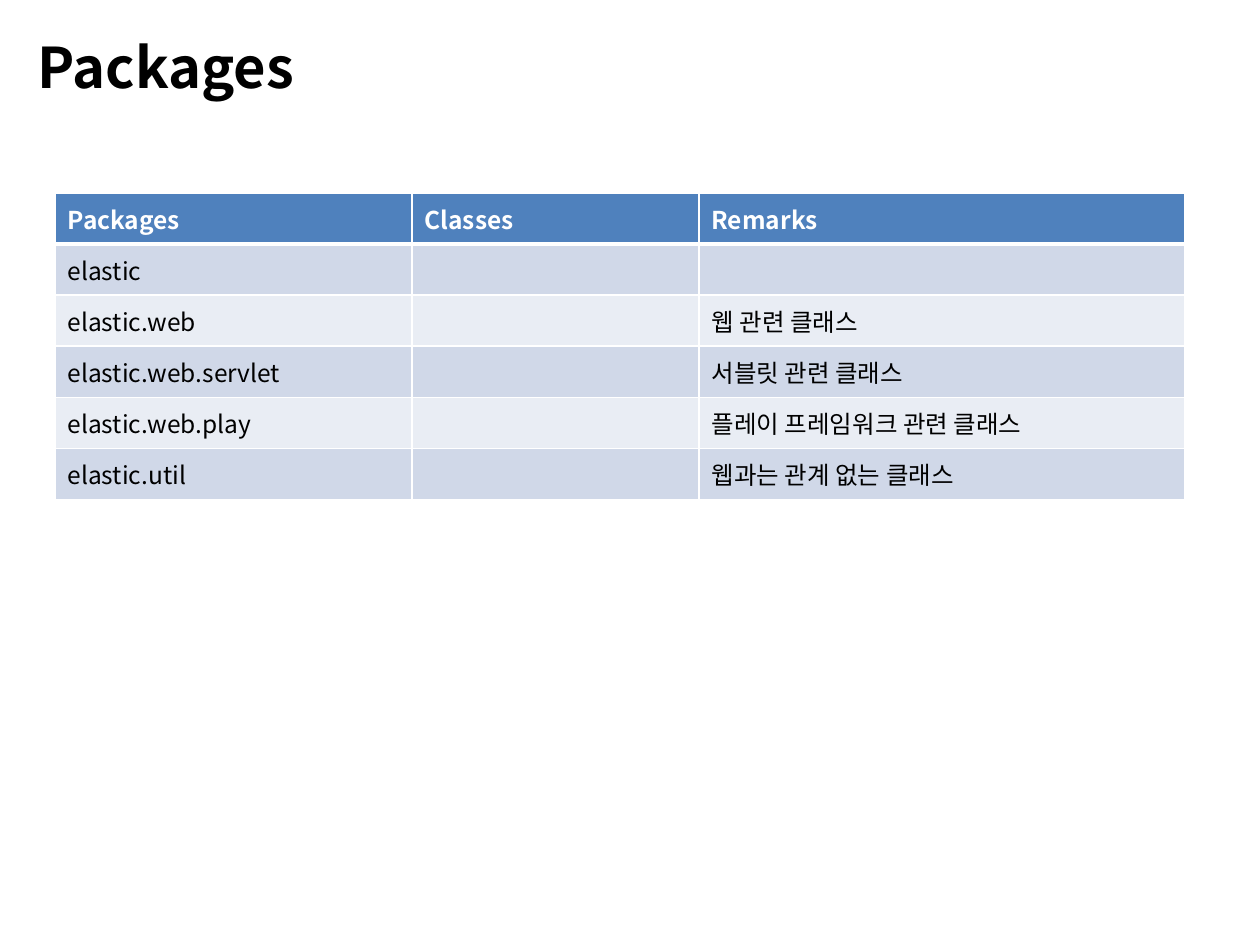
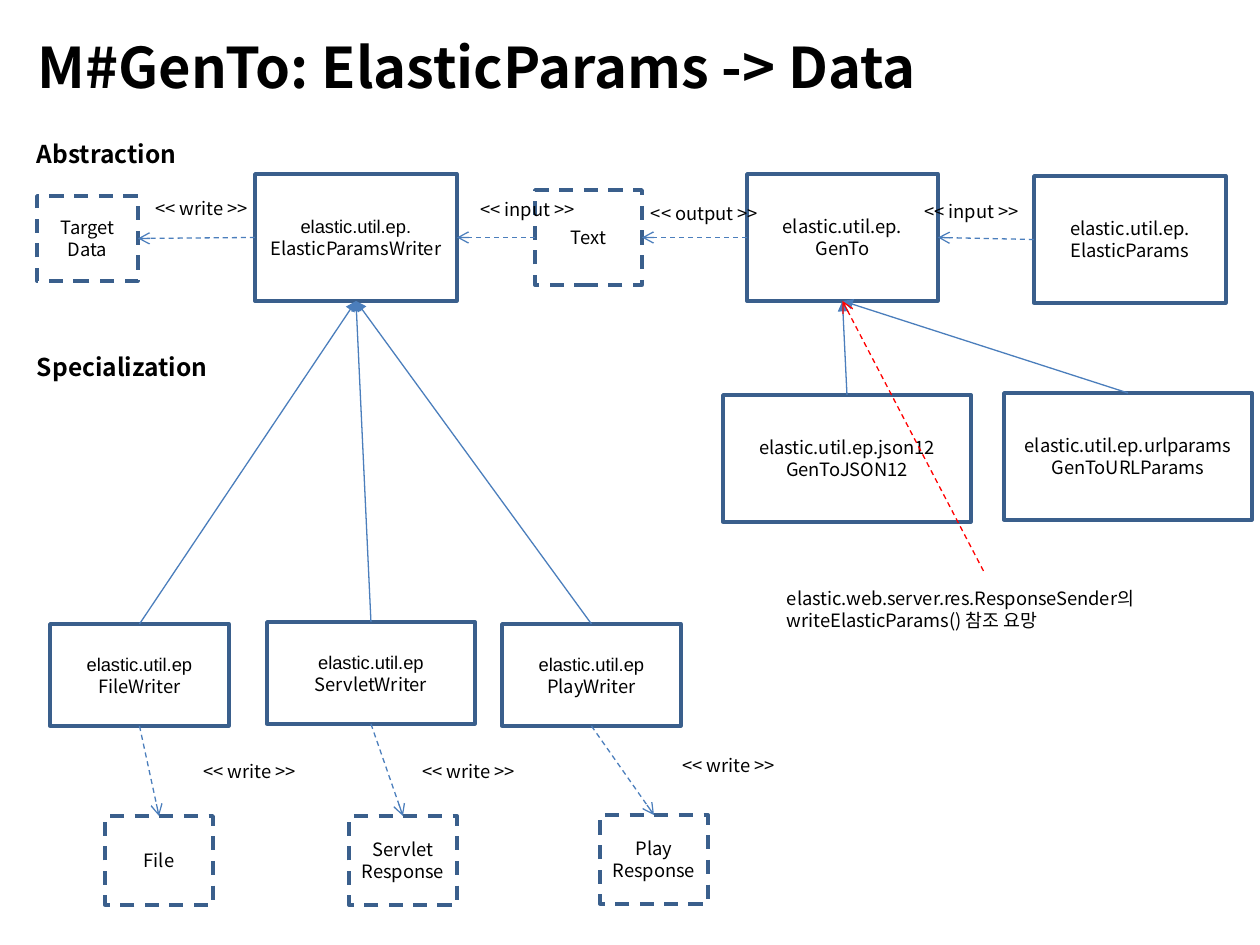
from lxml.etree import SubElement
from pptx import Presentation
from pptx.dml.color import RGBColor
from pptx.enum.dml import MSO_LINE
from pptx.enum.shapes import MSO_CONNECTOR, MSO_SHAPE
from pptx.enum.text import MSO_ANCHOR, MSO_AUTO_SIZE, PP_ALIGN
from pptx.oxml.ns import qn
from pptx.util import Emu, Pt

COLORS = {
    "text": "000000",
    "white": "FFFFFF",
    "header": "4F81BD",
    "band_dark": "D0D8E8",
    "band_light": "E9EDF4",
    "outline": "3A5F8C",
    "link": "4B7EBC",
    "note_link": "FF0000",
}
FONT = "Noto Sans CJK KR"
LATIN_FONT = "Arial"
EMU_PER_PX = 914400 / 126
TOP, LEFT, BOTTOM, RIGHT = range(4)

PACKAGE_ROWS = [
    ("Packages", "Classes", "Remarks"),
    ("elastic", "", ""),
    ("elastic.web", "", "웹 관련 클래스"),
    ("elastic.web.servlet", "", "서블릿 관련 클래스"),
    ("elastic.web.play", "", "플레이 프레임워크 관련 클래스"),
    ("elastic.util", "", "웹과는 관계 없는 클래스"),
]


def px(length):
    return Emu(round(length * EMU_PER_PX))


def rgb(name):
    return RGBColor.from_string(COLORS[name])


def format_paragraph(paragraph, size, color="text", bold=False, align=PP_ALIGN.LEFT, font=FONT):
    paragraph.alignment = align
    for run in paragraph.runs:
        run.font.size = Pt(size)
        run.font.bold = bold
        run.font.color.rgb = rgb(color)
        run.font.name = font
        east_asian = SubElement(run.font._element, qn("a:ea"))
        east_asian.set("typeface", FONT)


def set_text(shape, text, size, **style):
    frame = shape.text_frame
    frame.text = text
    frame.word_wrap = True
    frame.auto_size = MSO_AUTO_SIZE.NONE
    frame.vertical_anchor = MSO_ANCHOR.MIDDLE
    for paragraph in frame.paragraphs:
        format_paragraph(paragraph, size, **style)


def add_titled_slide(presentation, title):
    slide = presentation.slides.add_slide(presentation.slide_layouts[5])
    shape = slide.shapes.title
    shape.left, shape.top, shape.width, shape.height = map(px, (25, 26, 1201, 80))
    set_text(shape, title, 32, bold=True)
    return slide


def add_text(slide, left, top, width, height, text, size=10.5, margin=0, **style):
    shape = slide.shapes.add_textbox(px(left), px(top), px(width), px(height))
    set_text(shape, text, size, **style)
    frame = shape.text_frame
    frame.margin_left = frame.margin_right = px(margin)
    frame.margin_top = frame.margin_bottom = px(margin / 2)
    return shape


def add_heading(slide, top, text):
    add_text(slide, 37, top, 226, 46, text, size=14, bold=True)


def add_label(slide, left, top, word):
    add_text(slide, left, top, 131, 46, f"<< {word} >>", align=PP_ALIGN.CENTER)


def add_box(slide, left, top, width, height, text, dashed=False, first_font=FONT):
    box = slide.shapes.add_shape(MSO_SHAPE.RECTANGLE, px(left), px(top), px(width), px(height))
    box.shadow.inherit = False
    box.fill.background()
    box.line.color.rgb = rgb("outline")
    box.line.width = Pt(2)
    if dashed:
        box.line.dash_style = MSO_LINE.DASH
    set_text(box, text, 10.5, align=PP_ALIGN.CENTER)
    box.text_frame.paragraphs[0].runs[0].font.name = first_font
    return box


def add_link(slide, start, start_side, end, end_side, dashed=True, color="link"):
    link = slide.shapes.add_connector(MSO_CONNECTOR.STRAIGHT, 0, 0, 0, 0)
    link.begin_connect(start, start_side)
    link.end_connect(end, end_side)
    link.line.color.rgb = rgb(color)
    link.line.width = Pt(0.75)
    if dashed:
        link.line.dash_style = MSO_LINE.DASH
    arrowhead = SubElement(link.line._get_or_add_ln(), qn("a:tailEnd"))
    arrowhead.set("type", "arrow" if dashed else "triangle")
    SubElement(link._element.spPr, qn("a:effectLst"))


def set_borders(cell, top=1, bottom=1):
    properties = cell._tc.get_or_add_tcPr()
    for side, width in (("L", 1), ("R", 1), ("T", top), ("B", bottom)):
        line = SubElement(properties, qn(f"a:ln{side}"), w=str(Pt(width)))
        fill = SubElement(line, qn("a:solidFill"))
        SubElement(fill, qn("a:srgbClr"), val=COLORS["white"])


def add_package_table(slide):
    widths = (357, 287, 486)
    row_height = 51
    frame = slide.shapes.add_table(
        len(PACKAGE_ROWS), len(widths), px(55), px(193),
        px(sum(widths)), px(row_height * len(PACKAGE_ROWS)))
    table = frame.table
    for column, width in zip(table.columns, widths):
        column.width = px(width)
    for index, texts in enumerate(PACKAGE_ROWS):
        table.rows[index].height = px(row_height)
        is_header = index == 0
        band = "header" if is_header else ("band_light", "band_dark")[index % 2]
        for cell, text in zip(table.rows[index].cells, texts):
            set_borders(cell, top=3 if index == 1 else 1, bottom=3 if is_header else 1)
            cell.fill.solid()
            cell.fill.fore_color.rgb = rgb(band)
            cell.vertical_anchor = MSO_ANCHOR.MIDDLE
            if text:
                cell.text_frame.text = text
                format_paragraph(cell.text_frame.paragraphs[0], 14,
                                 color="white" if is_header else "text", bold=is_header)


def add_abstraction(slide):
    add_heading(slide, 131, "Abstraction")
    target = add_box(slide, 37, 196, 101, 85, "Target\nData", dashed=True)
    writer = add_box(slide, 255, 174, 202, 127, "elastic.util.ep.\nElasticParamsWriter",
                     first_font=LATIN_FONT)
    text = add_box(slide, 535, 190, 107, 95, "Text", dashed=True)
    generator = add_box(slide, 747, 174, 191, 127, "elastic.util.ep.\nGenTo")
    params = add_box(slide, 1034, 176, 192, 127, "elastic.util.ep.\nElasticParams")
    chain = [target, writer, text, generator, params]
    for end, start in zip(chain, chain[1:]):
        add_link(slide, start, LEFT, end, RIGHT)
    for left, top, word in ((136, 185, "write"), (462, 186, "input"),
                            (639, 190, "output"), (906, 188, "input")):
        add_label(slide, left, top, word)
    return writer, generator


def add_writers(slide, writer):
    columns = [
        ((50, 624, 179), "FileWriter", (105, 816), "File", (184, 748)),
        ((267, 622, 208), "ServletWriter", (349, 816), "Servlet Response", (403, 748)),
        ((502, 624, 179), "PlayWriter", (600, 815), "Play Response", (663, 742)),
    ]
    for place, name, output_place, output_name, label_place in columns:
        special = add_box(slide, *place, 102, f"elastic.util.ep\n{name}", first_font=LATIN_FONT)
        output = add_box(slide, *output_place, 108, 89, output_name, dashed=True)
        add_link(slide, special, TOP, writer, BOTTOM, dashed=False)
        add_link(slide, special, BOTTOM, output, TOP)
        add_label(slide, *label_place, "write")


def add_generators(slide, generator):
    for left, top, text in ((723, 395, "elastic.util.ep.json12\nGenToJSON12"),
                            (1004, 393, "elastic.util.ep.urlparams\nGenToURLParams")):
        special = add_box(slide, left, top, 248, 127, text)
        add_link(slide, special, TOP, generator, BOTTOM, dashed=False)
    note = add_text(
        slide, 775, 571, 417, 76,
        "elastic.web.server.res.ResponseSender의 writeElasticParams() 참조 요망", margin=12)
    add_link(slide, note, TOP, generator, BOTTOM, color="note_link")


def main():
    presentation = Presentation()
    presentation.slide_width = px(1260)
    presentation.slide_height = px(945)

    packages_slide = add_titled_slide(presentation, "Packages")
    add_package_table(packages_slide)

    classes_slide = add_titled_slide(presentation, "M#GenTo: ElasticParams -> Data")
    writer, generator = add_abstraction(classes_slide)
    add_heading(classes_slide, 344, "Specialization")
    add_writers(classes_slide, writer)
    add_generators(classes_slide, generator)

    presentation.save("out.pptx")


if __name__ == "__main__":
    main()
